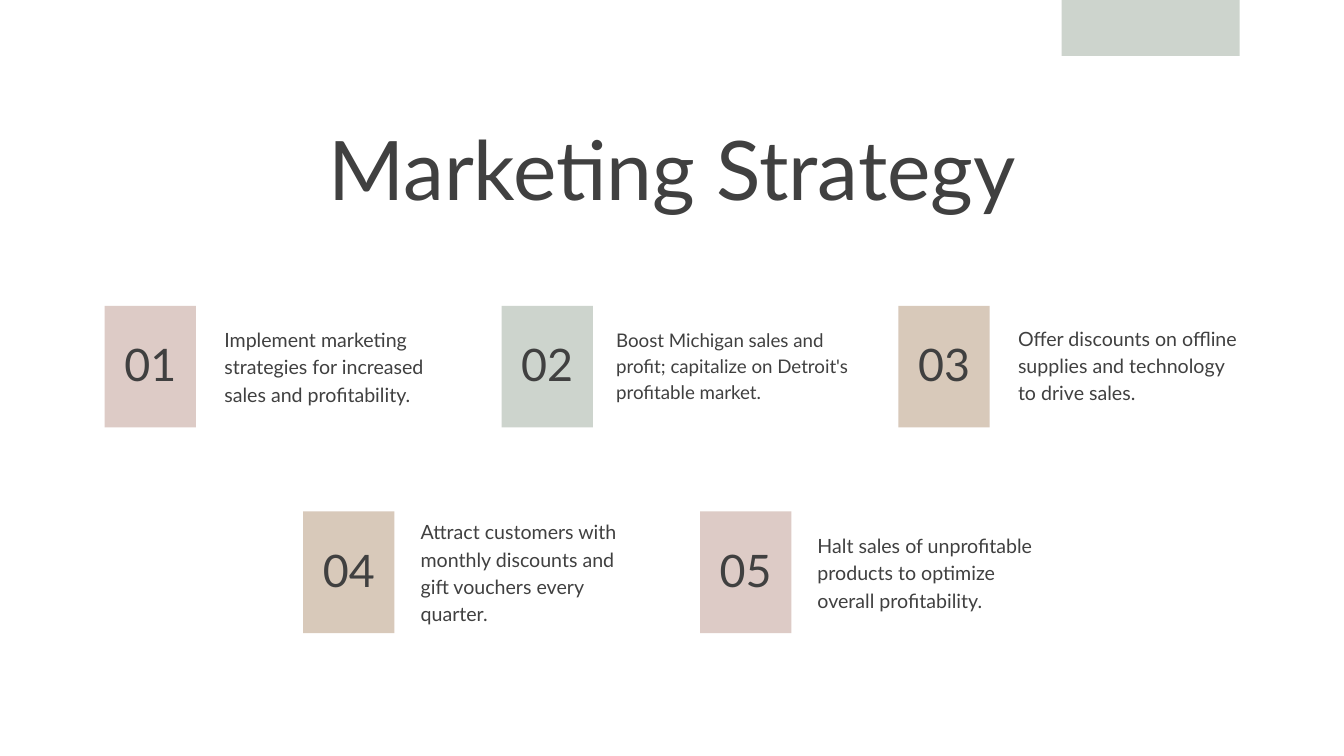
from pptx import Presentation
from pptx.dml.color import RGBColor as Rgb
from pptx.enum.shapes import MSO_SHAPE as Shape
from pptx.enum.text import MSO_ANCHOR as Anchor, MSO_AUTO_SIZE as AutoSize, PP_ALIGN as Align
from pptx.util import Cm, Pt

COLORS = {"ink": "404040", "rose": "DDCBC6", "sage": "CDD4CD", "sand": "D8C9BA"}
CARD_WIDTH, CARD_HEIGHT = 3.45, 4.6
CARD_PITCH = 15
TOP_ROW, BOTTOM_ROW = 11.56, 19.33
FIRST_LEFT = 3.96


class StrategySlide:
    """Holds the style and the current slide, and draws each kind of element."""

    font_name = "Lato"

    def __init__(self, deck):
        self.page = deck.slides.add_slide(deck.slide_layouts[5])

    def fill_text(self, box, text, size, spacing, align=Align.LEFT):
        frame = box.text_frame
        frame.word_wrap = True
        frame.auto_size = AutoSize.NONE
        frame.vertical_anchor = Anchor.TOP
        frame.margin_left = frame.margin_right = 0
        frame.margin_top = frame.margin_bottom = 0
        para = frame.paragraphs[0]
        para.text = text
        para.alignment = align
        para.line_spacing = Pt(spacing)
        para.space_before = Pt(0)
        para.font.name = self.font_name
        para.font.size = Pt(size)
        para.font.color.rgb = Rgb.from_string(COLORS["ink"])

    def title(self, text, left, top, width, height):
        box = self.page.shapes.title
        box.left, box.top, box.width, box.height = map(Cm, (left, top, width, height))
        self.fill_text(box, text, 88, 88, Align.CENTER)

    def text(self, text, left, top, width, height, size, spacing, align=Align.LEFT):
        box = self.page.shapes.add_textbox(*map(Cm, (left, top, width, height)))
        self.fill_text(box, text, size, spacing, align)

    def block(self, color, left, top, width, height):
        block = self.page.shapes.add_shape(
            Shape.RECTANGLE, *map(Cm, (left, top, width, height)))
        block.shadow.inherit = False
        block.fill.solid()
        block.fill.fore_color.rgb = Rgb.from_string(COLORS[color])
        block.line.fill.background()

    def card(self, number, color, left, top):
        self.block(color, left, top, CARD_WIDTH, CARD_HEIGHT)
        self.text(f"{number:02}", left, top + 1.52, CARD_WIDTH, 1.8, 48, 48, Align.CENTER)


def main():
    deck = Presentation()
    deck.slide_width = Cm(50.8)
    deck.slide_height = deck.slide_width * 9 // 16
    slide = StrategySlide(deck)
    slide.title("Marketing Strategy", 10.67, 5.11, 29.46, 3.28)

    strategies = [
        ("rose", 4.52, 0.68, 8.36, 21, 29.4,
         "Implement marketing strategies for increased sales and profitability."),
        ("sage", 4.33, 0.71, 9.63, 20.1, 28.2,
         "Boost Michigan sales and profit; capitalize on Detroit's profitable market."),
        ("sand", 4.52, 0.63, 8.36, 21, 29.4,
         "Offer discounts on offline supplies and technology to drive sales."),
        ("sand", 4.44, 0.18, 8.36, 21, 29.4,
         "Attract customers with monthly discounts and gift vouchers every quarter."),
        ("rose", 4.44, 0.69, 8.36, 21, 29.4,
         "Halt sales of unprofitable products to optimize overall profitability."),
    ]
    columns = [0, 1, 2, 0.5, 1.5]
    for number, (column, strategy) in enumerate(zip(columns, strategies), start=1):
        color, indent, drop, width, size, spacing, text = strategy
        left = FIRST_LEFT + column * CARD_PITCH
        top = TOP_ROW if number <= 3 else BOTTOM_ROW
        height = 4.11 if number == 4 else 3.07
        slide.text(text, left + indent, top + drop, width, height, size, spacing)
        slide.card(number, color, left, top)

    slide.block("sage", 40.13, 0, 6.73, 2.11)
    deck.save("out.pptx")


if __name__ == "__main__":
    main()
